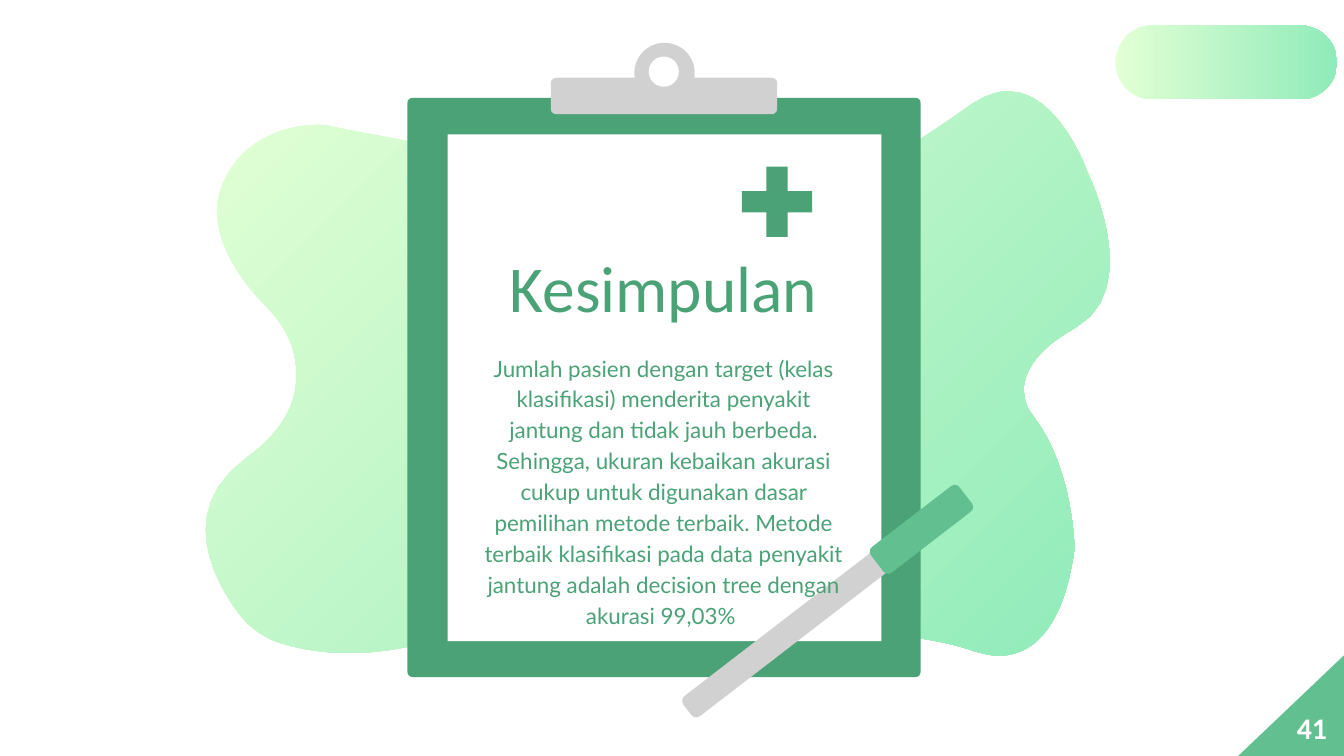
from pptx import Presentation, util as u
from pptx.dml.color import RGBColor
from pptx.enum import shapes, text

GREEN = RGBColor(0x4A, 0xA2, 0x76)
MINT = RGBColor(0x62, 0xC0, 0x90)
GREY = RGBColor(0xD1, 0xD1, 0xD1)
WHITE = RGBColor(0xFF, 0xFF, 0xFF)
PALE = RGBColor(0xE3, 0xFF, 0xD5)
AQUA = RGBColor(0x90, 0xEB, 0xBA)

# Cubic curves around the blob in hundredths of an inch: two handles, then the end
START = (750, 68)
CURVES = [
    (741, 68, 731, 72, 721, 79), (707, 89, 692, 99, 678, 108),
    (673, 112, 667, 114, 662, 116), (650, 119, 638, 123, 626, 126),
    (619, 128, 612, 129, 605, 129), (588, 129, 571, 123, 557, 112),
    (529, 91, 491, 84, 452, 84), (382, 84, 314, 107, 314, 107),
    (314, 107, 260, 97, 246, 94), (243, 93, 240, 93, 235, 93),
    (214, 93, 177, 103, 164, 141), (152, 178, 186, 216, 198, 228),
    (206, 236, 213, 246, 217, 257), (224, 279, 225, 311, 183, 341),
    (130, 380, 160, 433, 178, 457), (186, 467, 196, 474, 207, 478),
    (219, 482, 237, 486, 260, 486), (282, 486, 310, 482, 342, 470),
    (369, 460, 410, 456, 456, 456), (539, 456, 636, 468, 684, 475),
    (698, 477, 712, 480, 726, 485), (731, 486, 737, 488, 743, 488),
    (763, 488, 788, 475, 798, 418), (799, 412, 800, 407, 799, 401),
    (798, 383, 792, 340, 769, 310), (763, 303, 761, 294, 762, 286),
    (764, 274, 773, 259, 800, 244), (852, 215, 809, 128, 809, 128),
    (809, 128, 788, 68, 750, 68),
]
UNIT = 25.4  # thousandths of a centimetre in a hundredth of an inch
STEPS = 12


def paint(shape, color=None, angle=0):
    """Fill with one colour, or with the pale gradient if none is given."""
    shape.shadow.inherit = False
    shape.line.fill.background()
    if color is not None:
        shape.fill.solid()
        shape.fill.fore_color.rgb = color
        return
    shape.fill.gradient()
    shape.fill.gradient_angle = angle
    for stop, tint in zip(shape.fill.gradient_stops, (PALE, AQUA)):
        stop.color.rgb = tint


def write(box, words, font, size, color, align, bold=False):
    """Put one paragraph into a text box and return it."""
    frame = box.text_frame
    frame.word_wrap = True
    frame.margin_left = frame.margin_right = u.Cm(0.25)
    frame.margin_top = frame.margin_bottom = u.Cm(0.25)
    para = frame.paragraphs[0]
    para.text = words
    para.alignment = align
    para.font.name = font
    para.font.size = u.Pt(size)
    para.font.bold = bold
    para.font.color.rgb = color
    return para


deck = Presentation()
deck.slide_width = u.Cm(25.4)
deck.slide_height = u.Cm(14.29)
slide = deck.slides.add_slide(deck.slide_layouts[6])
items = slide.shapes

# Blob
x, y = START
dots = []
for ax, ay, bx, by, ex, ey in CURVES:
    for step in range(1, STEPS + 1):
        t = step / STEPS
        s = 1 - t
        mix = (s**3, 3 * s * s * t, 3 * s * t * t, t**3)
        dots.append(tuple(UNIT * sum(m * p for m, p in zip(mix, axis))
                          for axis in ((x, ax, bx, ex), (y, ay, by, ey))))
    x, y = ex, ey
pen = items.build_freeform(round(START[0] * UNIT), round(START[1] * UNIT),
                           scale=u.Cm(0.001))
pen.add_line_segments(dots, close=True)
paint(pen.convert_to_shape(), angle=315)

# Clipboard, pen, cross, pill and corner: kind, box, turn, corner, colour
kind = shapes.MSO_SHAPE
PARTS = [
    (kind.ROUNDED_RECTANGLE, (7.7, 1.85, 9.7, 10.95), 0, 0.01, GREEN),
    (kind.RECTANGLE, (8.46, 2.54, 8.2, 9.58), 0, None, WHITE),
    (kind.ROUNDED_RECTANGLE, (10.41, 1.47, 4.28, 0.69), 0, 0.15, GREY),
    (kind.OVAL, (11.99, 0.81, 1.14, 1.14), 0, None, GREY),
    (kind.OVAL, (12.26, 1.07, 0.57, 0.57), 0, None, WHITE),
    (kind.ROUNDED_RECTANGLE, (12.38, 11.38, 5.89, 0.48), -37.6, 0.25, GREY),
    (kind.ROUNDED_RECTANGLE, (16.36, 9.7, 2.11, 0.61), -37.6, 0.18, MINT),
    (kind.CROSS, (14.02, 3.15, 1.33, 1.33), 0, 0.35, GREEN),
    (kind.ROUNDED_RECTANGLE, (21.08, 0.48, 4.19, 1.4), 0, 0.5, None),
    (kind.RIGHT_TRIANGLE, (23.44, 12.29, 1.96, 2.06), 270, None, MINT),
]
for form, place, turn, corner, color in PARTS:
    part = items.add_shape(form, *map(u.Cm, place))
    part.rotation = turn
    if corner is not None:
        part.adjustments[0] = corner
    paint(part, color)

# Text
mid = text.PP_ALIGN.CENTER
title = items.add_textbox(*map(u.Cm, (8.86, 4.14, 7.37, 2.26)))
write(title, "Kesimpulan", "Calibri", 35, GREEN, mid)
title.text_frame.vertical_anchor = text.MSO_ANCHOR.BOTTOM

body = items.add_textbox(*map(u.Cm, (8.86, 6.38, 7.37, 5.64)))
para = write(
    body,
    "Jumlah pasien dengan target (kelas klasifikasi) menderita penyakit "
    "jantung dan tidak jauh berbeda. Sehingga, ukuran kebaikan akurasi cukup "
    "untuk digunakan dasar pemilihan metode terbaik. Metode terbaik "
    "klasifikasi pada data penyakit jantung adalah decision tree dengan "
    "akurasi 99,03% ",
    "Lato", 12, GREEN, mid)
para.line_spacing = 1.15
para.space_after = u.Pt(16)

page = items.add_textbox(*map(u.Cm, (24.26, 13.28, 1.17, 0.94)))
write(page, "41", "Calibri", 16, WHITE, text.PP_ALIGN.LEFT, bold=True)
page.text_frame.margin_top = page.text_frame.margin_bottom = u.Cm(0.13)

deck.save("out.pptx")
